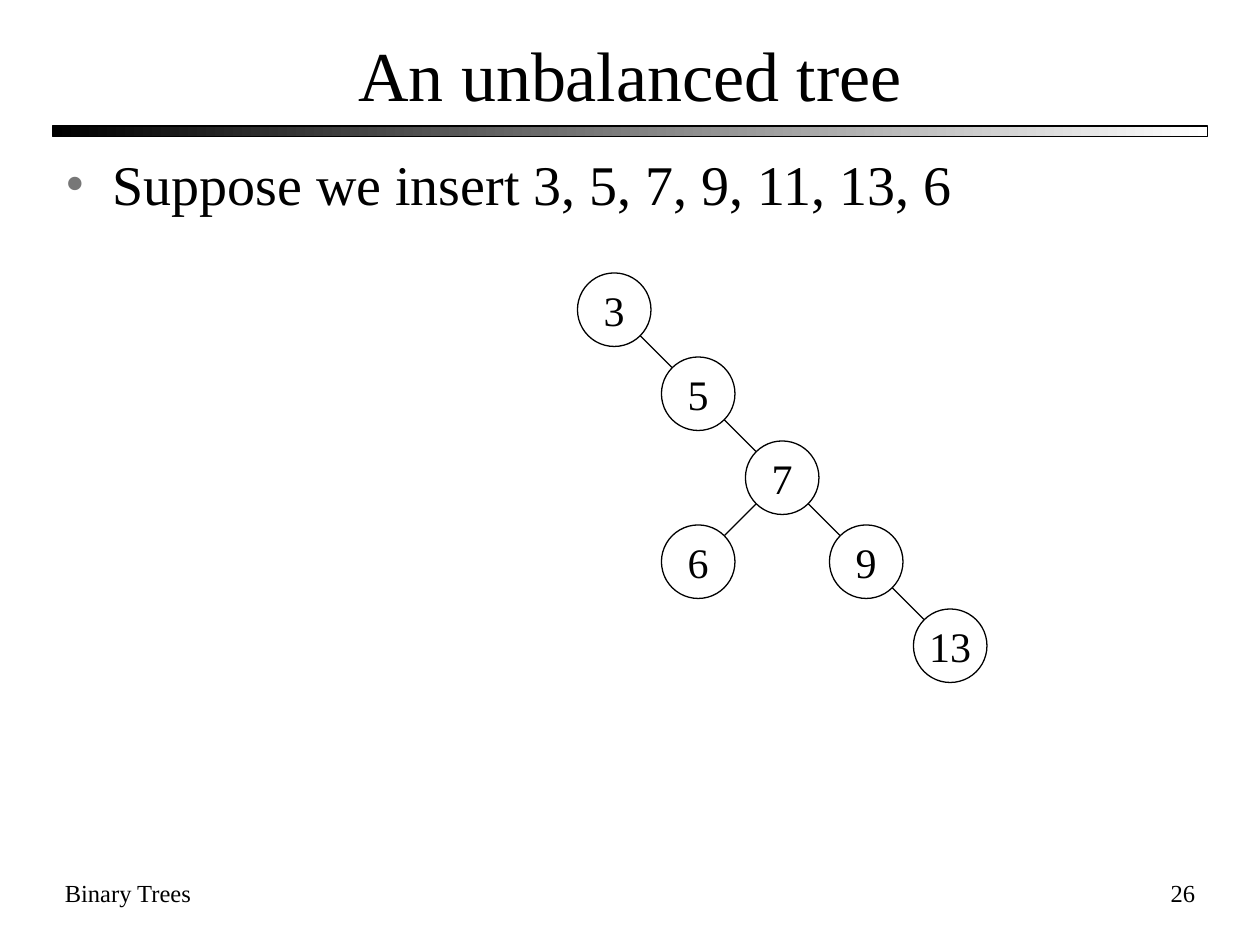
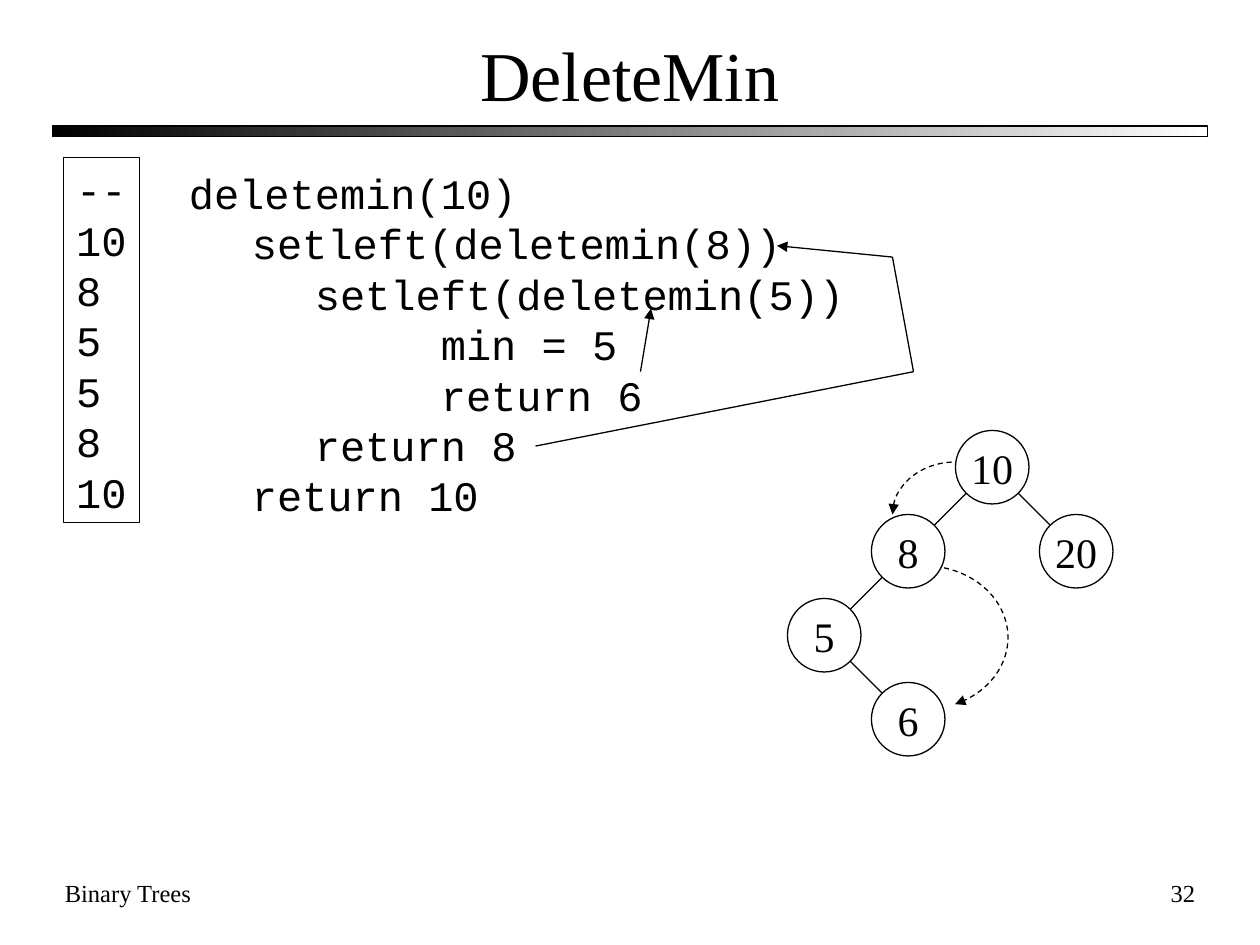
from dataclasses import dataclass

from lxml import etree
from pptx import Presentation
from pptx.dml.color import RGBColor
from pptx.enum import dml, shapes, text
from pptx.oxml.ns import qn
from pptx.util import Pt

BLACK, WHITE, BULLET_GREY = "000000", "FFFFFF", "777777"
SERIF, MONO = "Times New Roman", "Courier New"
MARGIN, CONTENT_WIDTH = 30, 660
FOOTER_TOP, FOOTER_HEIGHT = 498, 36
LINE_WIDTH = 0.75
NODE_SIZE, NODE_PITCH, EDGE_INSET = 42, 48, 15
CODE_TABS = (0, 36, 72, 144)


@dataclass
class Box:
    left: float
    top: float
    width: float
    height: float

    def lengths(self):
        return [Pt(v) for v in (self.left, self.top, self.width, self.height)]


@dataclass
class Node:
    label: str
    column: int
    row: int
    parent: "Node | None" = None


@dataclass
class Arc:
    """Part of an ellipse, clockwise from start to end in degrees."""
    box: Box
    start: float
    end: float
    arrow_end: str


@dataclass
class Line:
    start: tuple[float, float]
    end: tuple[float, float]
    arrow: bool = False


TITLE_BOX = Box(MARGIN, 12, CONTENT_WIDTH, 60)
BAND_BOX = Box(MARGIN, 72, CONTENT_WIDTH, 6)


def rgb(value: str) -> RGBColor:
    return RGBColor.from_string(value)


def add_xml(parent, tag: str, **attributes: str):
    return etree.SubElement(parent, qn(tag), attributes)


def place(shape, box: Box) -> None:
    shape.left, shape.top, shape.width, shape.height = box.lengths()


def write(shape, content: str, size: float, font: str = SERIF,
          align=text.PP_ALIGN.LEFT, anchor=text.MSO_ANCHOR.TOP,
          wrap: bool = True, tabs: tuple = ()) -> None:
    """Fill a shape with text, one paragraph a line, and format it."""
    frame = shape.text_frame
    frame.text = content
    frame.auto_size = text.MSO_AUTO_SIZE.NONE
    frame.word_wrap = wrap
    frame.vertical_anchor = anchor
    frame.margin_left = frame.margin_right = Pt(7.2)
    frame.margin_top = frame.margin_bottom = Pt(3.6)
    for para in frame.paragraphs:
        if tabs:
            tab_list = add_xml(para._p.get_or_add_pPr(), "a:tabLst")
            for stop in tabs:
                add_xml(tab_list, "a:tab", pos=str(Pt(stop)), algn="l")
        para.alignment = align
        para.space_before = Pt(0)
        for span in para.runs:
            span.font.size = Pt(size)
            span.font.name = font
            span.font.color.rgb = rgb(BLACK)


def add_outline(page, kind, box: Box):
    shape = page.shapes.add_shape(kind, *box.lengths())
    shape.shadow.inherit = False
    shape.fill.background()
    shape.line.color.rgb = rgb(BLACK)
    shape.line.width = Pt(LINE_WIDTH)
    return shape


def add_arrowhead(shape, end: str) -> None:
    add_xml(shape._element.spPr.find(qn("a:ln")), f"a:{end}", type="triangle")


def add_line(page, line: Line) -> None:
    connector = page.shapes.add_connector(
        shapes.MSO_CONNECTOR.STRAIGHT, *map(Pt, line.start + line.end))
    connector.line.color.rgb = rgb(BLACK)
    connector.line.width = Pt(LINE_WIDTH)
    if line.arrow:
        add_arrowhead(connector, "tailEnd")
    add_xml(connector._element.spPr, "a:effectLst")


def add_arc(page, arc: Arc) -> None:
    shape = add_outline(page, shapes.MSO_SHAPE.ARC, arc.box)
    # Adjustments count 100000 units; angles count 60000 units a degree
    shape.adjustments[0] = arc.start * 0.6
    shape.adjustments[1] = arc.end * 0.6
    shape.line.dash_style = dml.MSO_LINE.DASH
    add_arrowhead(shape, arc.arrow_end)


def add_tree(page, root_left: float, root_top: float, nodes: list[Node]) -> None:
    """Draw nodes on a square grid whose cell (0, 0) holds the root."""
    for node in nodes:
        left = root_left + node.column * NODE_PITCH
        top = root_top + node.row * NODE_PITCH
        circle = add_outline(page, shapes.MSO_SHAPE.OVAL,
                             Box(left, top, NODE_SIZE, NODE_SIZE))
        write(circle, node.label, 24, align=text.PP_ALIGN.CENTER,
              anchor=text.MSO_ANCHOR.MIDDLE, wrap=False)
        if node.parent:
            side = node.column - node.parent.column
            x, y = left + NODE_SIZE / 2, top + NODE_SIZE / 2
            reach = NODE_PITCH - EDGE_INSET
            add_line(page, Line((x - side * reach, y - reach),
                                (x - side * EDGE_INSET, y - EDGE_INSET)))


def add_text(page, box: Box, content: str, size: float, **style) -> None:
    write(page.shapes.add_textbox(*box.lengths()), content, size, **style)


def add_page(deck, layout: int, title: str, number: int):
    """Add a slide with its title, gradient band and footer."""
    page = deck.slides.add_slide(deck.slide_layouts[layout])
    band = add_outline(page, shapes.MSO_SHAPE.RECTANGLE, BAND_BOX)
    band.fill.gradient()
    band.fill.gradient_angle = 0
    for stop, colour in zip(band.fill.gradient_stops, (BLACK, WHITE)):
        stop.color.rgb = rgb(colour)
    place(page.shapes.title, TITLE_BOX)
    write(page.shapes.title, title, 40, align=text.PP_ALIGN.CENTER,
          anchor=text.MSO_ANCHOR.MIDDLE)
    add_text(page, Box(MARGIN, FOOTER_TOP, 252, FOOTER_HEIGHT), "Binary Trees", 14)
    add_text(page, Box(540, FOOTER_TOP, 150, FOOTER_HEIGHT), str(number), 14,
             align=text.PP_ALIGN.RIGHT)
    return page


def add_unbalanced_tree(deck) -> None:
    page = add_page(deck, 1, "An unbalanced tree", 26)
    body = page.placeholders[1]
    place(body, Box(MARGIN, 82, CONTENT_WIDTH, 48))
    write(body, "Suppose we insert 3, 5, 7, 9, 11, 13, 6", 32)
    properties = body.text_frame.paragraphs[0]._p.get_or_add_pPr()
    properties.set("marL", str(Pt(27)))
    properties.set("indent", str(Pt(-27)))
    add_xml(add_xml(properties, "a:buClr"), "a:srgbClr", val=BULLET_GREY)
    add_xml(properties, "a:buFont", typeface=SERIF)
    add_xml(properties, "a:buChar", char="•")

    three = Node("3", 0, 0)
    five = Node("5", 1, 1, three)
    seven = Node("7", 2, 2, five)
    nine = Node("9", 3, 3, seven)
    thirteen = Node("13", 4, 4, nine)
    six = Node("6", 1, 3, seven)
    add_tree(page, 330, 156, [three, five, seven, nine, thirteen, six])


def add_delete_min(deck) -> None:
    page = add_page(deck, 5, "DeleteMin", 32)
    calls = [
        "deletemin(10)",
        "\tsetleft(deletemin(8))",
        "\t\tsetleft(deletemin(5))",
        "\t\t\tmin = 5",
        "\t\t\treturn 6",
        "\t\treturn 8",
        "\treturn 10",
    ]
    add_text(page, Box(100.8, 92.2, 389, 237.6), "\n".join(calls), 24,
             font=MONO, wrap=False, tabs=CODE_TABS)
    return_lines = [
        Line((366, 212.4), (372, 176.4), arrow=True),
        Line((306, 254.9), (522, 212.4)),
        Line((522, 212.4), (510, 146.9)),
        Line((510, 146.9), (444, 140.4), arrow=True),
    ]
    for line in return_lines:
        add_line(page, line)

    stack = add_outline(page, shapes.MSO_SHAPE.RECTANGLE, Box(36.5, 90, 43.2, 208.8))
    write(stack, "\n".join(["--", "10", "8", "5", "5", "8", "10"]), 24,
          font=MONO, wrap=False)

    ten = Node("10", 0, 0)
    eight = Node("8", -1, 1, ten)
    twenty = Node("20", 1, 1, ten)
    five = Node("5", -2, 2, eight)
    six = Node("6", -1, 3, five)
    add_tree(page, 546, 246, [ten, six, twenty, eight, five])
    add_arc(page, Arc(Box(510, 264, 72, 60), 180, 270, "headEnd"))
    add_arc(page, Arc(Box(480, 323.3, 96, 82), 286, 65, "tailEnd"))


def main() -> None:
    deck = Presentation()
    deck.slide_width, deck.slide_height = Pt(720), Pt(540)
    add_unbalanced_tree(deck)
    add_delete_min(deck)
    deck.save("out.pptx")


if __name__ == "__main__":
    main()
